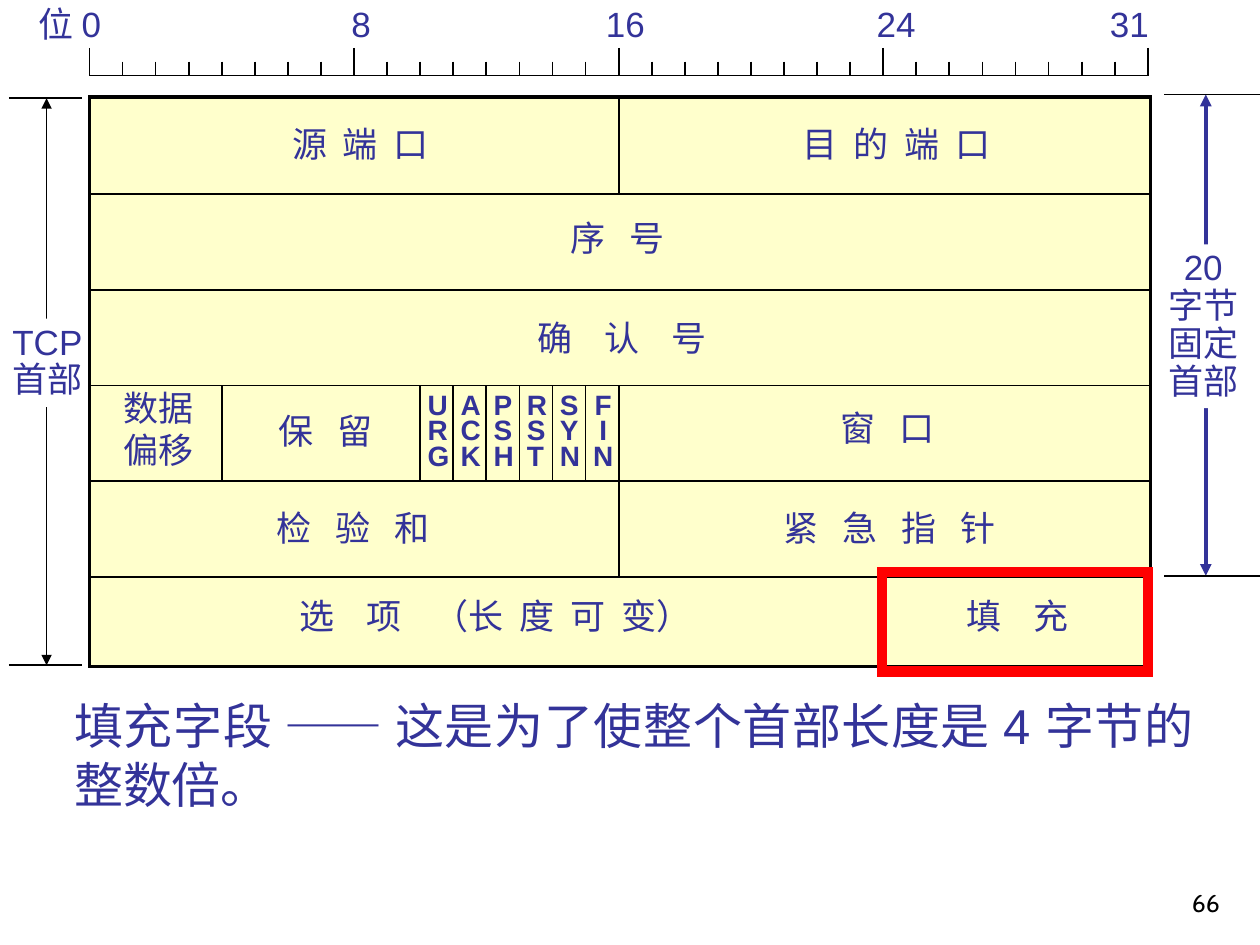
from lxml import etree
from pptx import Presentation
from pptx.dml.color import RGBColor
from pptx.enum.shapes import MSO_CONNECTOR, MSO_SHAPE
from pptx.enum.text import MSO_ANCHOR, PP_ALIGN
from pptx.oxml.ns import qn
from pptx.util import Inches, Pt

LEFT, CENTER, RIGHT, JUSTIFY = (
    PP_ALIGN.LEFT, PP_ALIGN.CENTER, PP_ALIGN.RIGHT, PP_ALIGN.JUSTIFY)
TOP, BOTTOM = MSO_ANCHOR.TOP, MSO_ANCHOR.BOTTOM
RECTANGLE = MSO_SHAPE.RECTANGLE
STRAIGHT = MSO_CONNECTOR.STRAIGHT

COLORS = {"text": "333399", "line": "000000", "header": "FFFFCC",
          "paper": "FFFFFF", "highlight": "FF0000"}
LABEL = {"name": "Arial", "size": Pt(20)}
FLAG = {"name": "Arial", "size": Pt(16), "bold": True}
NOTE = {"name": "Arial", "size": Pt(28)}
PAGE_NUMBER = {"name": "Cabin", "size": Pt(14)}

HEADER_LEFT, HEADER_RIGHT = 0.71, 9.13
HEADER_TOP, HEADER_BOTTOM = 0.77, 5.29
ROW_LINES = [1.54 + 0.76 * row for row in range(5)]
BIT_WIDTH = 0.2625
SPACE_WIDTH = 2.3  # points that one further space adds on each character

# left, top, width, runs of (text, spaces per gap)
FIELDS = [
    (2.22, 0.92, 1.5, [("源 端 口", 2)]),
    (6.27, 0.92, 1.9, [("目 的 端 口", 2)]),
    (4.43, 1.67, 1.5, [("序 号", 3)]),
    (4.17, 2.46, 2.0, [("确 认 号", 4)]),
    (2.11, 3.20, 1.2, [("保 留", 3)]),
    (6.57, 3.18, 1.2, [("窗 口", 3)]),
    (2.10, 3.97, 1.7, [("检 验 和", 3)]),
    (6.12, 3.97, 2.2, [("紧 急 指 针", 3)]),
    (2.28, 4.67, 3.5, [("选 项 ", 4), ("（", 1), ("长 度 可 ", 2), ("变）", 1)]),
    (7.57, 4.67, 1.4, [("填 充", 4)]),
]
FLAGS = ["URG", "ACK", "PSH", "RST", "SYN", "FIN"]


def bit_x(bit):
    return HEADER_LEFT + BIT_WIDTH * bit


def rgb(color):
    return RGBColor.from_string(COLORS[color])


def add_line(slide, start, end, color="line", width=1, arrows=False):
    line = slide.shapes.add_connector(
        STRAIGHT, *(Inches(value) for value in (*start, *end)))
    line.line.color.rgb = rgb(color)
    line.line.width = Pt(width)
    if arrows:
        outline = line.line._get_or_add_ln()
        for tag in ("a:headEnd", "a:tailEnd"):
            etree.SubElement(outline, qn(tag), type="triangle")
    etree.SubElement(line._element.spPr, qn("a:effectLst"))


def add_rectangle(slide, box, fill=None, outline=None, width=1):
    shape = slide.shapes.add_shape(RECTANGLE, *(Inches(value) for value in box))
    shape.shadow.inherit = False
    if fill:
        shape.fill.solid()
        shape.fill.fore_color.rgb = rgb(fill)
    else:
        shape.fill.background()
    if outline:
        shape.line.color.rgb = rgb(outline)
        shape.line.width = Pt(width)
        etree.SubElement(shape.line._get_or_add_ln(), qn("a:miter"), lim="800000")
    else:
        shape.line.fill.background()
    return shape


def write_lines(shape, lines, style, color="text", align=LEFT, spacing=1.0,
                wrap=False, anchor=TOP):
    """Fill a shape with paragraphs, each a list of (text, spaces per gap) runs."""
    frame = shape.text_frame
    frame.word_wrap = wrap
    frame.vertical_anchor = anchor
    for index, runs in enumerate(lines):
        paragraph = frame.add_paragraph() if index else frame.paragraphs[0]
        paragraph.alignment = align
        paragraph.line_spacing = spacing
        for text, gap in runs:
            run = paragraph.add_run()
            run.text = text
            for attribute, value in style.items():
                setattr(run.font, attribute, value)
            run.font.color.rgb = rgb(color)
            if gap > 1:
                tracking = round(SPACE_WIDTH * (gap - 1) * 100)
                run._r.get_or_add_rPr().set("spc", str(tracking))


def plain(*lines):
    return [[(line, 1)] for line in lines]


def add_text(slide, box, lines, style, **options):
    text_box = slide.shapes.add_textbox(*(Inches(value) for value in box))
    write_lines(text_box, lines, style, **options)
    return text_box


def add_bracket(slide, x, bounds, ends, box, lines, align, color, width):
    """Draw a vertical span arrow, its two end lines and its label."""
    top, bottom = bounds
    add_line(slide, (x, top), (x, bottom), color, width, arrows=True)
    for y in bounds:
        add_line(slide, (ends[0], y), (ends[1], y))
    label = add_rectangle(slide, box, "paper")
    write_lines(label, plain(*lines), LABEL, align=align, spacing=0.9)


def add_ruler(slide):
    add_line(slide, (bit_x(0), 0.6), (bit_x(32), 0.6))
    for bit in range(33):
        top = 0.49 if bit % 8 else 0.38
        add_line(slide, (bit_x(bit), top), (bit_x(bit), 0.6))
    labels = add_text(slide, (0.21, -0.03, 9.04, 0.43),
                      plain("位 0\t8\t16\t24\t31"), LABEL, wrap=True)
    properties = labels.text_frame.paragraphs[0]._p.get_or_add_pPr()
    tabs = etree.SubElement(properties, qn("a:tabLst"))
    for position in (2.48, 4.5, 6.65, 8.5):
        etree.SubElement(tabs, qn("a:tab"), pos=str(Inches(position)), algn="l")


def add_header_grid(slide):
    add_rectangle(slide, (HEADER_LEFT, HEADER_TOP, HEADER_RIGHT - HEADER_LEFT,
                          HEADER_BOTTOM - HEADER_TOP), "header", "line", 2)
    for y in ROW_LINES:
        add_line(slide, (HEADER_LEFT, y), (HEADER_RIGHT, y))
    first, _, third, fourth, fifth = ROW_LINES
    dividers = [(16, HEADER_TOP, first), (16, third, fifth),
                (24, fifth, HEADER_BOTTOM)]
    dividers += [(bit, third, fourth) for bit in (4, *range(10, 16))]
    for bit, top, bottom in dividers:
        add_line(slide, (bit_x(bit), top), (bit_x(bit), bottom))


def add_field_names(slide):
    for left, top, width, runs in FIELDS:
        add_text(slide, (left, top, width, 0.43), [runs], LABEL, wrap=True)
    add_text(slide, (0.88, 3.02, 0.76, 0.76), plain("数据", "偏移"), LABEL)
    for index, flag in enumerate(FLAGS):
        add_text(slide, (bit_x(10 + index) - 0.04, 3.09, 0.36, 0.7), plain(*flag),
                 FLAG, align=CENTER if flag == "FIN" else LEFT, spacing=0.75)


def main():
    presentation = Presentation()
    presentation.slide_width, presentation.slide_height = Inches(10), Inches(7.5)
    slide = presentation.slides.add_slide(presentation.slide_layouts[6])

    add_bracket(slide, 0.37, (0.78, 5.28), (0.07, 0.65), (0, 2.53, 0.76, 0.7),
                ["TCP", "首部"], LEFT, "line", 1)
    add_bracket(slide, 9.57, (0.75, 4.57), (9.24, 10), (9.17, 1.94, 0.76, 1.3),
                ["20", "字节", "固定", "首部"], CENTER, "text", 2.25)
    add_header_grid(slide)
    add_field_names(slide)
    add_ruler(slide)
    add_rectangle(slide, (7, 4.54, 2.11, 0.79), outline="highlight", width=6)
    add_text(slide, (0.49, 5.47, 9.08, 1.04),
             plain("填充字段 —— 这是为了使整个首部长度是 4 字节的整数倍。"),
             NOTE, align=JUSTIFY, wrap=True)
    add_text(slide, (7.7, 6.83, 2.08, 0.5), plain("66"), PAGE_NUMBER,
             color="line", align=RIGHT, wrap=True, anchor=BOTTOM)
    presentation.save("out.pptx")


if __name__ == "__main__":
    main()
